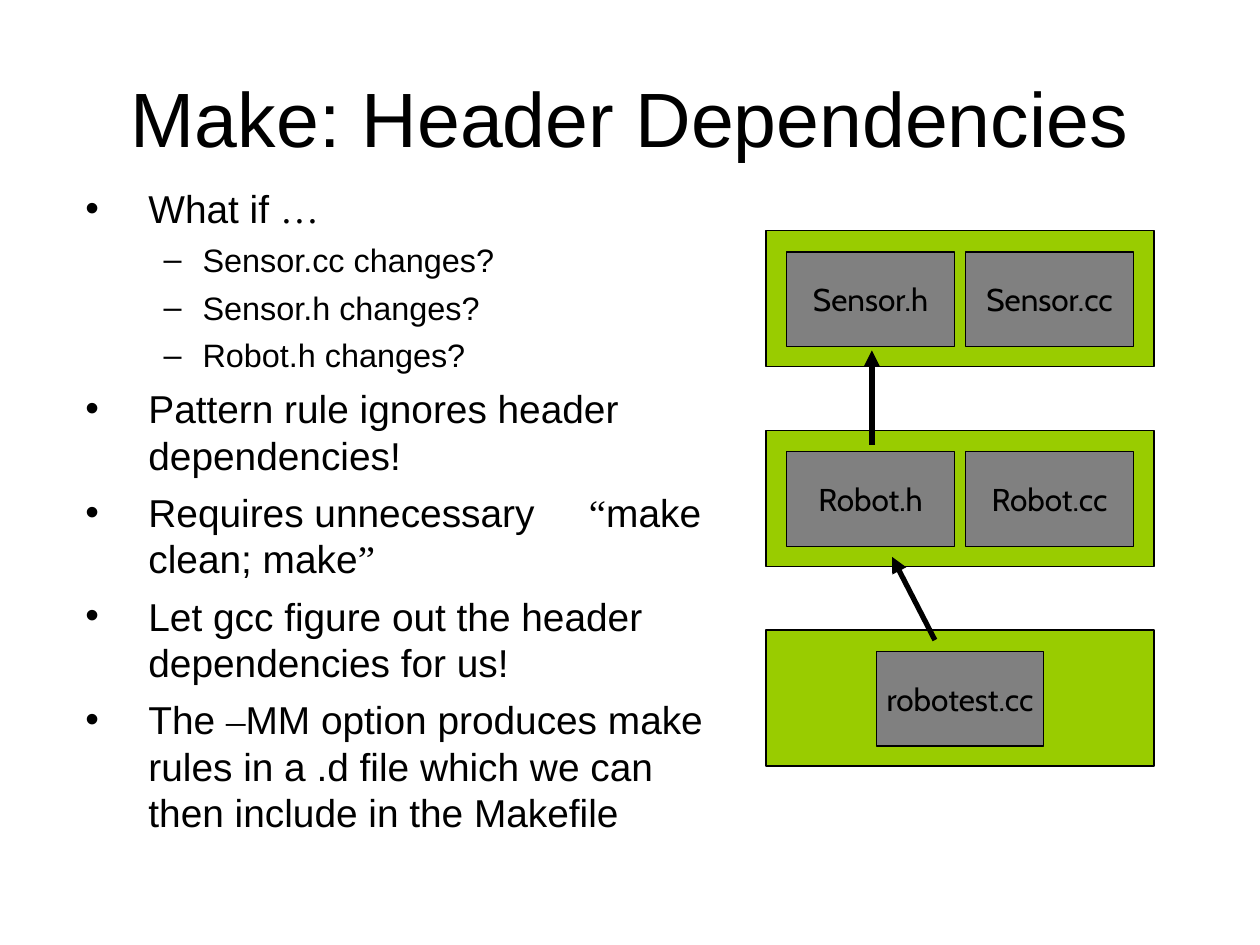
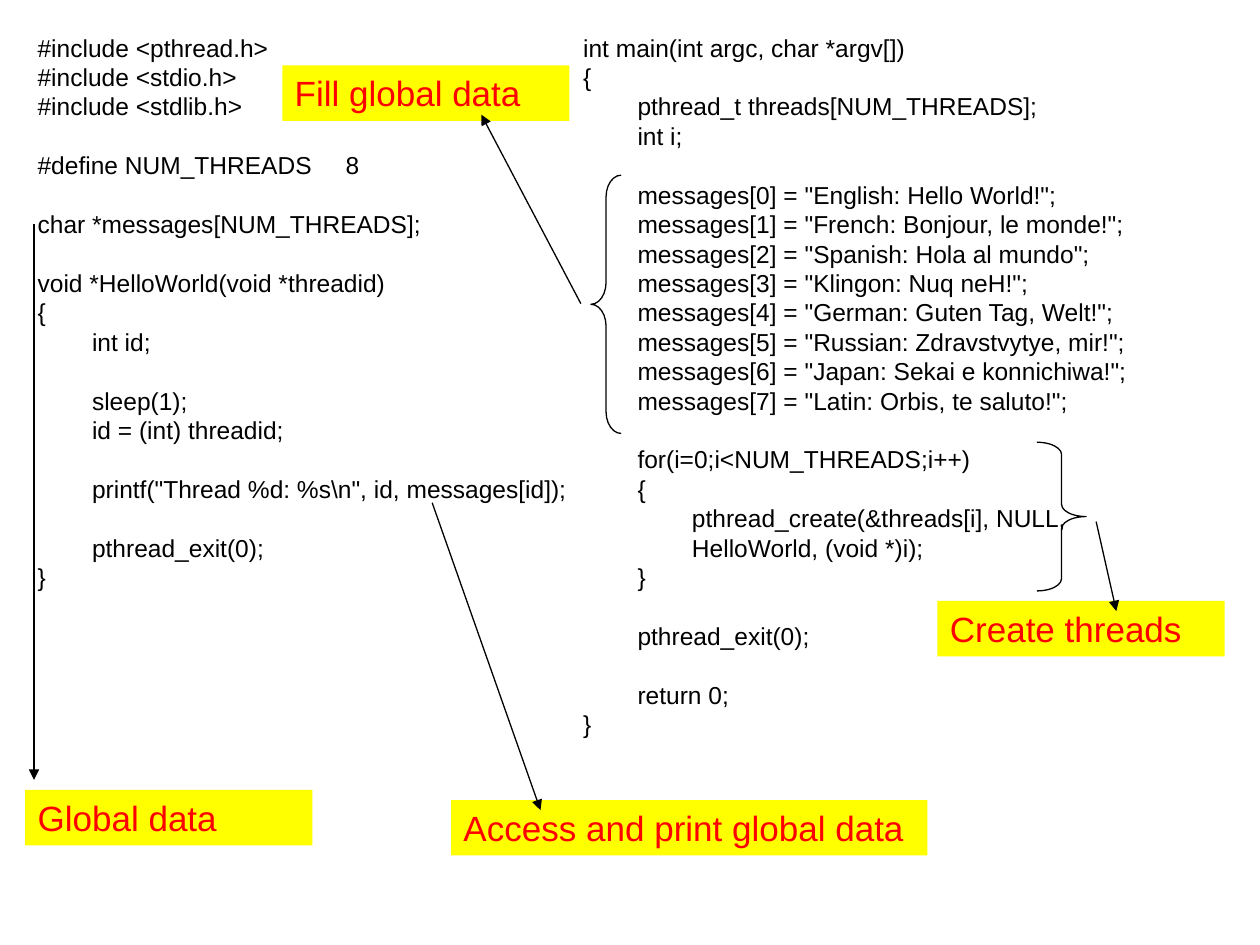
from lxml.etree import SubElement
from pptx import Presentation
from pptx.dml.color import RGBColor
from pptx.enum.shapes import MSO_CONNECTOR, MSO_SHAPE
from pptx.enum.text import MSO_ANCHOR, PP_ALIGN
from pptx.oxml.ns import qn
from pptx.util import Inches, Pt

HUES = {"ink": "000000", "file": "808080", "group": "99CC00",
        "note": "FFFF00", "alert": "FF0000"}
SANS, SERIF, LABEL = "Arial", "Times New Roman", "Cabin"
PITCH = 1.2
WIDE_GAP = 2470

LEVELS = [
    {"size": 22.2, "left": 0.5, "hang": 0.5, "mark": "•", "before": 6},
    {"size": 18.5, "left": 0.93, "hang": 0.31, "mark": "–", "before": 5},
]

POINTS = [
    (0, ["What if ", "…"]),
    (1, ["Sensor.cc changes?"]),
    (1, ["Sensor.h changes?"]),
    (1, ["Robot.h changes?"]),
    (0, ["Pattern rule ignores header dependencies!"]),
    (0, ["Requires unnecessary", " ", "“", "make clean; make", "”"]),
    (0, ["Let gcc figure out the header dependencies for us!"]),
    (0, ["The ", "–", "MM option produces make rules in a .d file "
         "which we can then include in the Makefile"]),
]

GROUPS = [["Sensor.h", "Sensor.cc"], ["Robot.h", "Robot.cc"], ["robotest.cc"]]

WORKER = r'''#include <pthread.h>
#include <stdio.h>
#include <stdlib.h>

#define NUM_THREADS     8

char *messages[NUM_THREADS];

void *HelloWorld(void *threadid)
{
        int id;

        sleep(1);
        id = (int) threadid;

        printf("Thread %d: %s\n", id, messages[id]);

        pthread_exit(0);
}'''

STARTER = '''int main(int argc, char *argv[])
{
        pthread_t threads[NUM_THREADS];
        int i;

        messages[0] = "English: Hello World!";
        messages[1] = "French: Bonjour, le monde!";
        messages[2] = "Spanish: Hola al mundo";
        messages[3] = "Klingon: Nuq neH!";
        messages[4] = "German: Guten Tag, Welt!";
        messages[5] = "Russian: Zdravstvytye, mir!";
        messages[6] = "Japan: Sekai e konnichiwa!";
        messages[7] = "Latin: Orbis, te saluto!";

        for(i=0;i<NUM_THREADS;i++)
        {
                pthread_create(&threads[i], NULL,
                HelloWorld, (void *)i);
        }

        pthread_exit(0);

        return 0;
}'''


def color(name):
    return RGBColor.from_string(HUES[name])


def style(para, size, face=SANS, hue="ink"):
    para.font.size = Pt(size)
    para.font.name = face
    para.font.color.rgb = color(hue)


def add_box(slide, *place):
    frame = slide.shapes.add_textbox(*map(Inches, place)).text_frame
    frame.word_wrap = True
    return frame


def add_title(slide, text):
    frame = add_box(slide, 0.5, 0.3, 9, 1.25)
    frame.vertical_anchor = MSO_ANCHOR.MIDDLE
    para = frame.paragraphs[0]
    para.text = text
    para.alignment = PP_ALIGN.CENTER
    style(para, 44)


def add_mark(para, level):
    props = para._p.get_or_add_pPr()
    props.set("marL", str(Inches(level["left"])))
    props.set("indent", str(-Inches(level["hang"])))
    SubElement(props, qn("a:buFont")).set("typeface", SANS)
    SubElement(props, qn("a:buChar")).set("char", level["mark"])


def add_points(slide, points, *place):
    frame = add_box(slide, *place)
    for i, (depth, parts) in enumerate(points):
        para = frame.add_paragraph() if i else frame.paragraphs[0]
        level = LEVELS[depth]
        add_mark(para, level)
        para.line_spacing = Pt(PITCH * level["size"])
        para.space_before = Pt(level["before"] if i else 0)
        style(para, level["size"])
        for part in parts:
            run = para.add_run()
            run.text = part
            if part in "…“”–":
                run.font.name = SERIF
            elif part == " ":
                run._r.get_or_add_rPr().set("spc", str(WIDE_GAP))


def add_code(slide, code, *place):
    frame = add_box(slide, *place)
    frame.text = code
    for para in frame.paragraphs:
        para.line_spacing = Pt(PITCH * 14)
        style(para, 14)


def add_rect(slide, place, fill, line=None):
    rect = slide.shapes.add_shape(MSO_SHAPE.RECTANGLE, *map(Inches, place))
    rect.shadow.inherit = False
    rect.fill.solid()
    rect.fill.fore_color.rgb = color(fill)
    if line:
        rect.line.color.rgb = color(line)
        rect.line.width = Pt(0.75)
    else:
        rect.line.fill.background()
    return rect


def add_file(slide, name, left, top):
    rect = add_rect(slide, (left, top, 1.33, 0.75), "file", "ink")
    frame = rect.text_frame
    frame.word_wrap = False
    frame.vertical_anchor = MSO_ANCHOR.MIDDLE
    para = frame.paragraphs[0]
    para.text = name
    para.alignment = PP_ALIGN.CENTER
    style(para, 18, LABEL)


def add_group(slide, names, top):
    left, width, step, gap = 6.08, 3.08, 1.42, 0.09
    add_rect(slide, (left, top, width, 1.08), "group", "ink")
    start = left + (width - step * len(names) + gap) / 2
    for i, name in enumerate(names):
        add_file(slide, name, start + i * step, top + 0.17)


def add_note(slide, text, left, top, width=2.28):
    frame = add_rect(slide, (left, top, width, 0.44), "note").text_frame
    frame.word_wrap = True
    frame.vertical_anchor = MSO_ANCHOR.TOP
    para = frame.paragraphs[0]
    para.text = text
    para.alignment = PP_ALIGN.LEFT
    style(para, 20, hue="alert")


def add_arrow(slide, ends, width=0.75):
    arrow = slide.shapes.add_connector(MSO_CONNECTOR.STRAIGHT,
                                       *map(Inches, ends))
    arrow.line.color.rgb = color("ink")
    arrow.line.width = Pt(width)
    tip = SubElement(arrow.line._get_or_add_ln(), qn("a:tailEnd"))
    tip.set("type", "triangle")
    SubElement(arrow._element.spPr, qn("a:effectLst"))


def add_brace(slide, kind, curve, *place):
    brace = slide.shapes.add_shape(kind, *map(Inches, place))
    brace.shadow.inherit = False
    brace.fill.background()
    brace.line.color.rgb = color("ink")
    brace.line.width = Pt(0.75)
    brace.adjustments[0] = curve
    brace.adjustments[1] = 0.5


def draw_make(slide):
    add_title(slide, "Make: Header Dependencies")
    add_points(slide, POINTS, 0.58, 1.42, 5.33, 5.75)
    for i, names in enumerate(GROUPS):
        add_group(slide, names, 1.83 + i * 1.585)
    add_arrow(slide, (7.42, 5.08, 7.08, 4.42), 3)
    add_arrow(slide, (6.92, 3.53, 6.92, 2.78), 3)


def draw_threads(slide):
    add_code(slide, WORKER, 0.2, 0.21, 4.41, 4.54)
    add_code(slide, STARTER, 4.53, 0.21, 5.47, 5.71)
    add_brace(slide, MSO_SHAPE.LEFT_BRACE, 0.72, 4.69, 1.39, 0.24, 2.05)
    add_brace(slide, MSO_SHAPE.RIGHT_BRACE, 0.25, 8.23, 3.51, 0.39, 1.18)
    add_note(slide, "Global data", 0.2, 6.27)
    add_note(slide, "Fill global data", 2.24, 0.52)
    add_note(slide, "Create threads", 7.44, 4.77)
    add_note(slide, "Access and print global data", 3.58, 6.35, 3.78)
    for ends in [(0.27, 1.78, 0.27, 6.19), (4.61, 2.41, 3.82, 0.91),
                 (8.7, 4.14, 8.86, 4.85), (3.43, 3.99, 4.29, 6.43)]:
        add_arrow(slide, ends)


def main():
    deck = Presentation()
    deck.slide_width, deck.slide_height = Inches(10), Inches(7.5)
    for draw in (draw_make, draw_threads):
        draw(deck.slides.add_slide(deck.slide_layouts[6]))
    deck.save("out.pptx")


if __name__ == "__main__":
    main()
